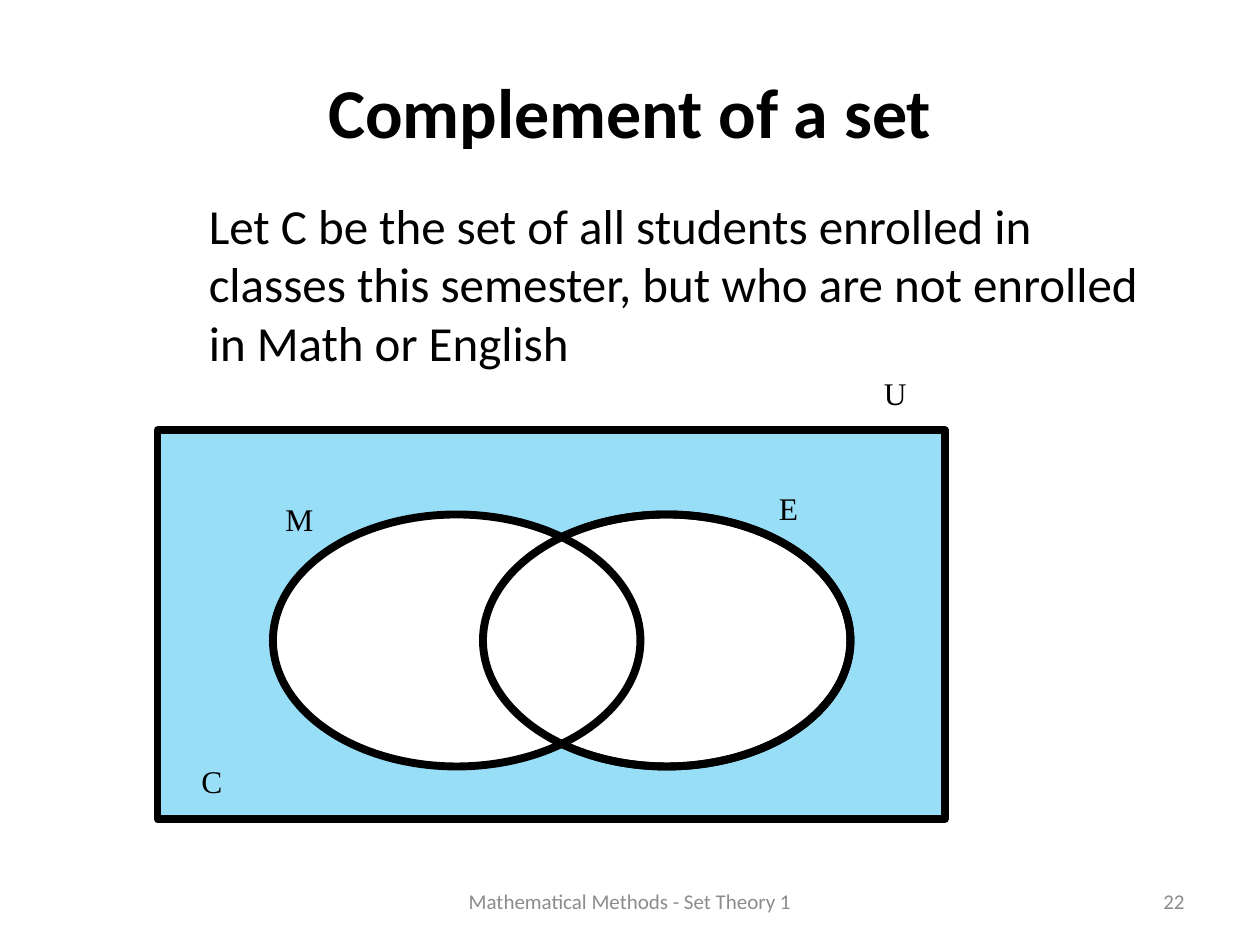
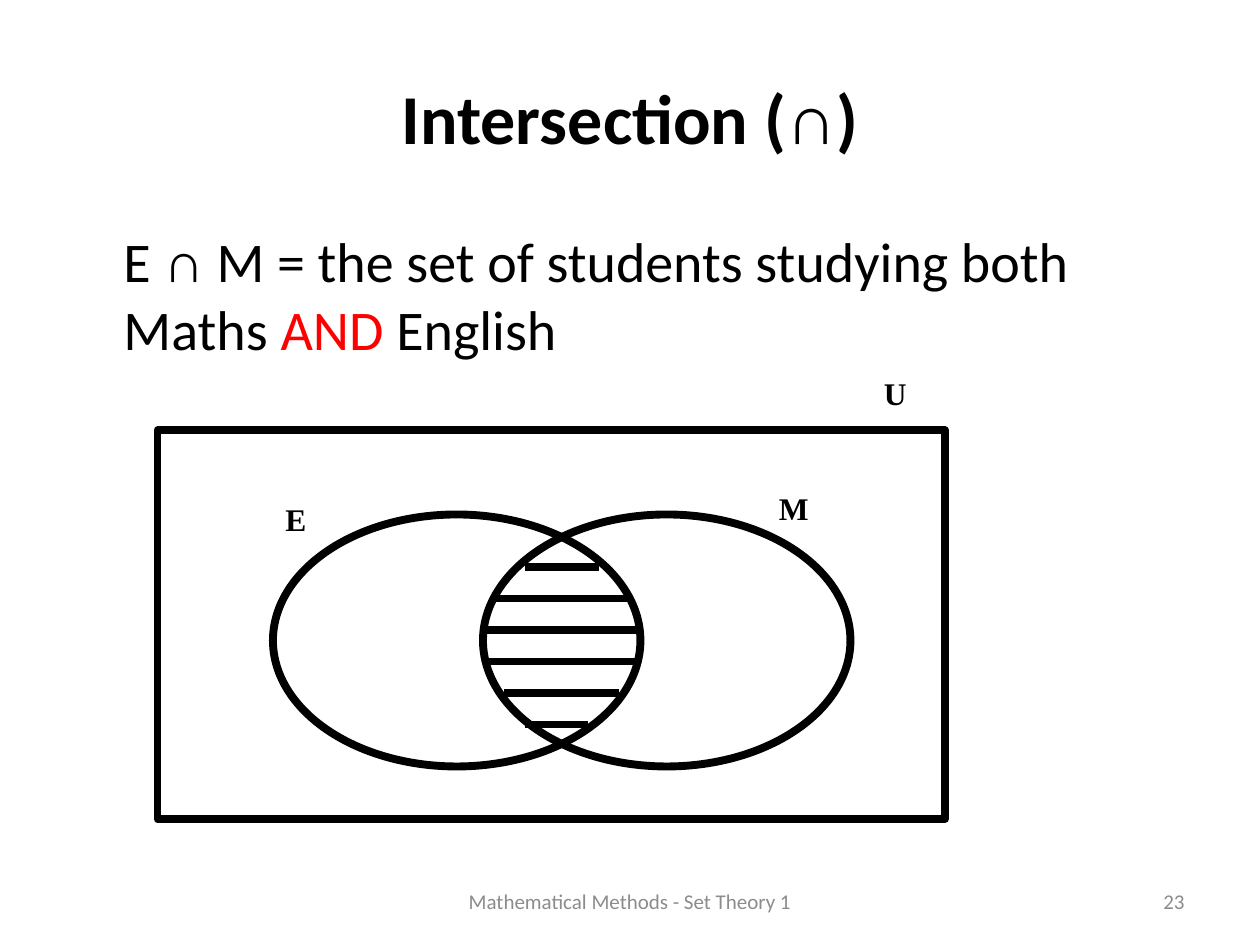
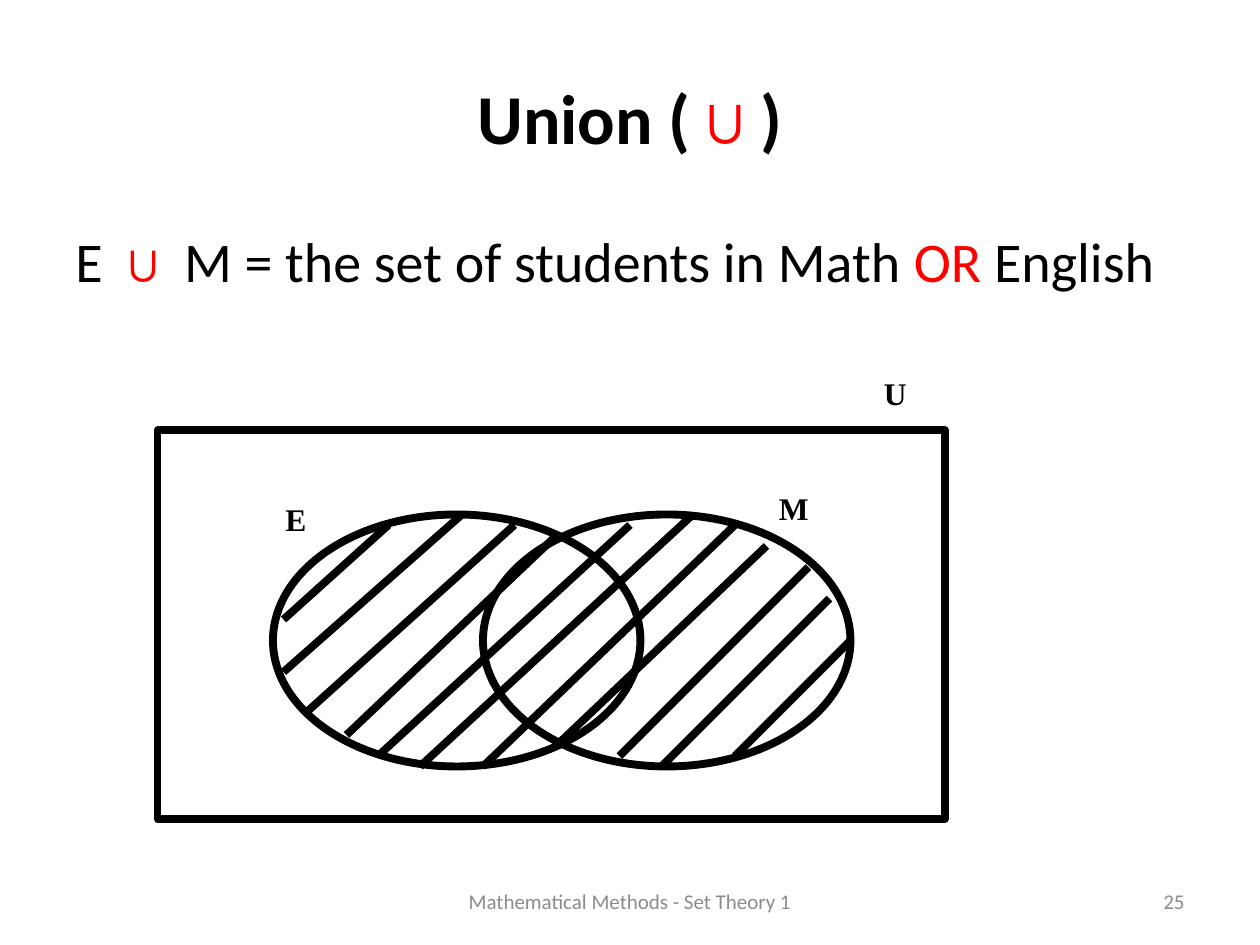
from lxml.etree import SubElement
from pptx import Presentation
from pptx.dml.color import RGBColor
from pptx.enum.shapes import MSO_CONNECTOR, MSO_SHAPE
from pptx.enum.text import MSO_ANCHOR, PP_ALIGN
from pptx.oxml.ns import qn
from pptx.util import Cm, Pt

COLORS = {"ink": "000000", "accent": "FF0000", "muted": "8C8C8C",
          "outside": "99DEF7", "paper": "FFFFFF"}
SANS, SERIF = "Calibri", "Times New Roman"
OUTLINE = Pt(4.5)
FOOTER = "Mathematical Methods - Set Theory 1"

# The diagrams sit on a grid of twelve units to the inch: left, top, width, height
UNIT = Cm(2.54 / 12)
UNIVERSE = (15, 41, 75, 37)
LEFT_SET = (26, 49, 35, 24)
RIGHT_SET = (46, 49, 35, 24)
UNIVERSE_LABEL = (83, 35, 9, 6)
LEFT_LABEL = (26, 47, 8, 6)
RIGHT_LABEL = (73, 46, 14, 6)
OUTSIDE_LABEL = (18, 72, 10, 6)

# Text areas in centimetres
WIDE_TITLE, WIDE_BODY = (1.27, 0.76, 22.86, 3.18), (1.27, 4.45, 22.86, 12.57)
NARROW_TITLE, NARROW_BODY = (1.9, 0.64, 21.59, 3.18), (1.9, 3.81, 21.59, 13.13)
FOOTER_AREA, NUMBER_AREA = (8.68, 17.65, 8.04, 1.02), (18.2, 17.65, 5.93, 1.02)


def to_cm(area):
    return [Cm(length) for length in area]


def to_grid(area):
    return [UNIT * count for count in area]


class Lesson:
    """Holds the deck's style and the slide being built."""

    def __init__(self):
        self.deck = Presentation()
        self.deck.slide_width, self.deck.slide_height = Cm(25.4), Cm(19.05)
        self.slide = None

    def color(self, name):
        return RGBColor.from_string(COLORS[name])

    def new_slide(self, number):
        self.slide = self.deck.slides.add_slide(self.deck.slide_layouts[6])
        self.text(to_cm(FOOTER_AREA), [FOOTER], 12, color="muted",
                  align=PP_ALIGN.CENTER, anchor=MSO_ANCHOR.MIDDLE)
        self.text(to_cm(NUMBER_AREA), [str(number)], 12, color="muted",
                  align=PP_ALIGN.RIGHT, anchor=MSO_ANCHOR.MIDDLE)

    def text(self, box, pieces, size, font=SANS, color="ink", bold=False,
             align=PP_ALIGN.LEFT, anchor=MSO_ANCHOR.TOP):
        """Each piece is a string, or (string, font, colour) where it differs."""
        frame = self.slide.shapes.add_textbox(*box).text_frame
        frame.word_wrap = True
        frame.vertical_anchor = anchor
        paragraph = frame.paragraphs[0]
        paragraph.alignment = align
        for piece in pieces:
            words, face, tint = (piece, font, color) if isinstance(piece, str) else piece
            run = paragraph.add_run()
            run.text = words
            run.font.name, run.font.size, run.font.bold = face, Pt(size), bold
            run.font.color.rgb = self.color(tint)
        return paragraph

    def title(self, pieces, area=WIDE_TITLE):
        self.text(to_cm(area), pieces, 40, bold=True,
                  align=PP_ALIGN.CENTER, anchor=MSO_ANCHOR.MIDDLE)

    def body(self, pieces, area=WIDE_BODY, size=32, margin=0.97, first=0):
        paragraph = self.text(to_cm(area), pieces, size)
        properties = paragraph._p.get_or_add_pPr()
        properties.set("marL", str(Cm(margin)))
        properties.set("indent", str(Cm(first)))

    def label(self, area, letter, bold=True):
        self.text(to_grid(area), [letter], 18, font=SERIF, bold=bold)

    def region(self, area, preset=MSO_SHAPE.OVAL, fill=None):
        region = self.slide.shapes.add_shape(preset, *to_grid(area))
        region.shadow.inherit = False
        if fill:
            region.fill.solid()
            region.fill.fore_color.rgb = self.color(fill)
        else:
            region.fill.background()
        region.line.color.rgb = self.color("ink")
        region.line.width = OUTLINE

    def universe(self, fill=None):
        self.region(UNIVERSE, MSO_SHAPE.RECTANGLE, fill)

    def venn(self):
        self.universe()
        self.region(LEFT_SET)
        self.region(RIGHT_SET)
        self.label(UNIVERSE_LABEL, "U")
        self.label(LEFT_LABEL, "E")
        self.label(RIGHT_LABEL, "M")

    def hatch(self, x1, y1, x2, y2):
        stroke = self.slide.shapes.add_connector(
            MSO_CONNECTOR.STRAIGHT, *to_grid((x1, y1, x2, y2)))
        stroke.line.color.rgb = self.color("ink")
        stroke.line.width = OUTLINE
        SubElement(stroke._element.spPr, qn("a:effectLst"))


def complement(lesson):
    lesson.new_slide(22)
    lesson.title(["Complement of a set"], NARROW_TITLE)
    lesson.body(["Let C be the set of all students enrolled in classes this "
                 "semester, but who are not enrolled in Math or English"],
                NARROW_BODY, size=28, margin=2.06)
    lesson.universe("outside")
    for area, letter in ((UNIVERSE_LABEL, "U"), (LEFT_LABEL, "M"),
                         (RIGHT_LABEL, "E"), (OUTSIDE_LABEL, "C")):
        lesson.label(area, letter, bold=False)
    # Both sets are blanked out, then the covered outline is redrawn
    lesson.region(RIGHT_SET, fill="paper")
    lesson.region(LEFT_SET, fill="paper")
    lesson.region(RIGHT_SET)


def intersection(lesson):
    cap = ("∩", SERIF, "ink")
    lesson.new_slide(23)
    lesson.title(["Intersection (", cap, ")"])
    lesson.body(["E ", cap, " M = the set of students studying both Maths ",
                 ("AND", SANS, "accent"), " English"])
    lesson.venn()
    # Evenly spaced level strokes across the overlap
    spans = [(50, 57), (47, 60), (46, 61), (46, 61), (48, 59), (50, 56)]
    for row, (start, end) in enumerate(spans):
        y = 54 + 3 * row
        lesson.hatch(start, y, end, y)


def union(lesson):
    cup = ("∪", SERIF, "accent")
    lesson.new_slide(25)
    lesson.title(["Union (", cup, ")"])
    lesson.body(["E ", cup, " M = the set of students in Math ",
                 ("OR", SANS, "accent"), " English"], first=-0.97)
    lesson.venn()
    # Rising strokes across both sets, left to right
    for stroke in ((27, 59, 37, 50), (27, 64, 44, 49), (29, 68, 49, 50),
                   (33, 70, 53, 51), (36, 72, 60, 50), (40, 73, 66, 49),
                   (46, 73, 70, 50), (53, 71, 73, 52), (59, 72, 77, 54),
                   (63, 73, 79, 57), (70, 72, 81, 61)):
        lesson.hatch(*stroke)


def main():
    lesson = Lesson()
    complement(lesson)
    intersection(lesson)
    union(lesson)
    lesson.deck.save("out.pptx")


if __name__ == "__main__":
    main()
